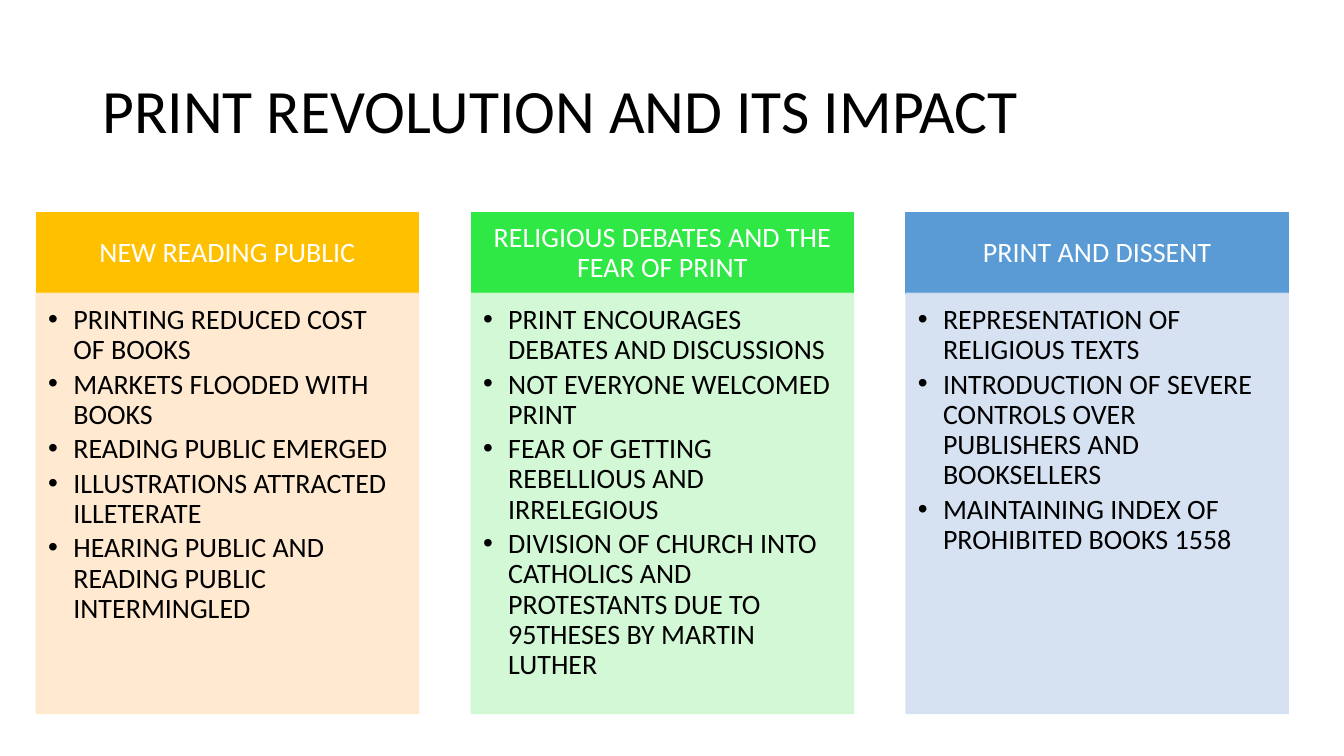
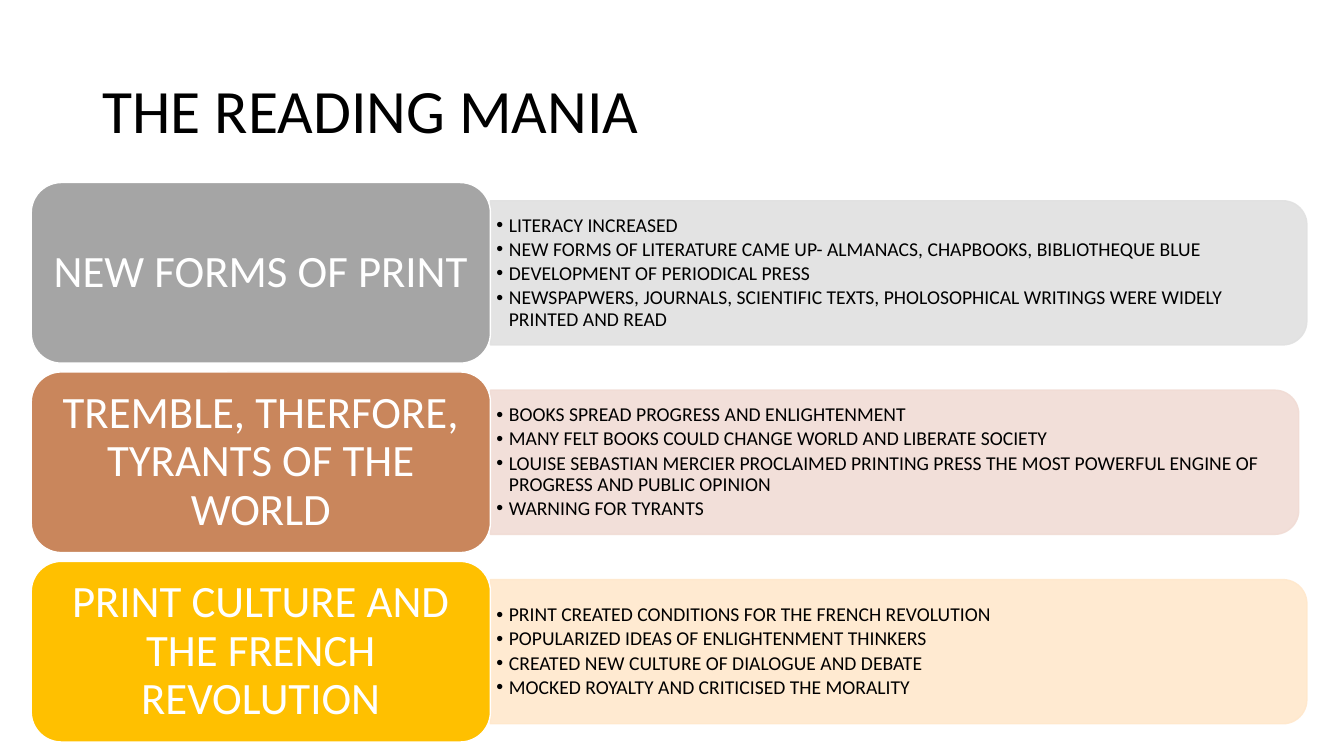
from lxml.etree import SubElement
from pptx import Presentation
from pptx.dml.color import RGBColor
from pptx.enum.shapes import MSO_SHAPE
from pptx.enum.text import MSO_ANCHOR, PP_ALIGN
from pptx.oxml.ns import qn
from pptx.util import Pt

RECT = MSO_SHAPE.RECTANGLE
ROUND = MSO_SHAPE.ROUNDED_RECTANGLE
TAB = MSO_SHAPE.ROUND_2_SAME_RECTANGLE
TOP, MID = MSO_ANCHOR.TOP, MSO_ANCHOR.MIDDLE
LEFT, MID_X = PP_ALIGN.LEFT, PP_ALIGN.CENTER

FONT = "Calibri"
BLACK = RGBColor(0x00, 0x00, 0x00)
WHITE = RGBColor(0xFF, 0xFF, 0xFF)
GOLD = RGBColor(0xFF, 0xC0, 0x00)
CREAM = RGBColor(0xFF, 0xE8, 0xCC)
GREEN = RGBColor(0x30, 0xE8, 0x45)
MINT = RGBColor(0xCF, 0xF8, 0xD1)
BLUE = RGBColor(0x5B, 0x9B, 0xD5)
SKY = RGBColor(0xD2, 0xDF, 0xF0)
GREY = RGBColor(0xA5, 0xA5, 0xA5)
SILVER = RGBColor(0xE1, 0xE1, 0xE1)
CLAY = RGBColor(0xC9, 0x86, 0x5C)
BLUSH = RGBColor(0xF1, 0xDC, 0xD5)

IMPACT = "PRINT REVOLUTION AND ITS IMPACT"
COLUMNS = [
    ("NEW READING PUBLIC", GOLD, CREAM, [
        "PRINTING REDUCED COST OF BOOKS",
        "MARKETS FLOODED WITH BOOKS",
        "READING PUBLIC EMERGED",
        "ILLUSTRATIONS ATTRACTED ILLETERATE",
        "HEARING PUBLIC AND READING PUBLIC INTERMINGLED"]),
    ("RELIGIOUS DEBATES AND THE FEAR OF PRINT", GREEN, MINT, [
        "PRINT ENCOURAGES DEBATES AND DISCUSSIONS",
        "NOT EVERYONE WELCOMED PRINT",
        "FEAR OF GETTING REBELLIOUS AND IRRELEGIOUS",
        "DIVISION OF CHURCH INTO CATHOLICS AND PROTESTANTS DUE TO "
        "95THESES BY MARTIN LUTHER"]),
    ("PRINT AND DISSENT", BLUE, SKY, [
        "REPRESENTATION OF RELIGIOUS TEXTS",
        "INTRODUCTION OF SEVERE CONTROLS OVER PUBLISHERS AND BOOKSELLERS",
        "MAINTAINING INDEX OF PROHIBITED BOOKS 1558"]),
]

MANIA = "THE READING MANIA"
# Each row: heading, colours, panel width, points
ROWS = [
    ("NEW FORMS OF PRINT", GREY, SILVER, 583.2, [
        "LITERACY INCREASED",
        "NEW FORMS OF LITERATURE CAME UP- ALMANACS, CHAPBOOKS, "
        "BIBLIOTHEQUE BLUE",
        "DEVELOPMENT OF PERIODICAL PRESS",
        "NEWSPAPWERS, JOURNALS, SCIENTIFIC TEXTS, PHOLOSOPHICAL WRITINGS "
        "WERE WIDELY PRINTED AND READ"]),
    ("TREMBLE, THERFORE, TYRANTS OF THE WORLD", CLAY, BLUSH, 577.4, [
        "BOOKS SPREAD PROGRESS AND ENLIGHTENMENT",
        "MANY FELT BOOKS COULD CHANGE WORLD AND LIBERATE SOCIETY",
        "LOUISE SEBASTIAN MERCIER PROCLAIMED PRINTING PRESS THE MOST "
        "POWERFUL ENGINE OF PROGRESS AND PUBLIC OPINION",
        "WARNING FOR TYRANTS"]),
    ("PRINT CULTURE AND THE FRENCH REVOLUTION", GOLD, CREAM, 583.2, [
        "PRINT CREATED CONDITIONS FOR THE FRENCH REVOLUTION",
        "POPULARIZED IDEAS OF ENLIGHTENMENT THINKERS",
        "CREATED NEW CULTURE OF DIALOGUE AND DEBATE",
        "MOCKED ROYALTY AND CRITICISED THE MORALITY"]),
]


def write(shape, lines, size, color, pad, anchor=MID, align=LEFT,
          after=0, indent=0):
    """Fill a shape with paragraphs, with bullets if an indent is given."""
    frame = shape.text_frame
    frame.word_wrap = True
    frame.vertical_anchor = anchor
    (frame.margin_left, frame.margin_top,
     frame.margin_right, frame.margin_bottom) = map(Pt, pad)
    for i, line in enumerate(lines):
        para = frame.add_paragraph() if i else frame.paragraphs[0]
        para.alignment = align
        para.line_spacing = 0.9
        para.space_after = Pt(size * after)
        if indent:
            props = para._p.get_or_add_pPr()
            props.set("marL", str(Pt(indent)))
            props.set("indent", str(-Pt(indent)))
            SubElement(props, qn("a:buFont")).set("typeface", "Arial")
            SubElement(props, qn("a:buChar")).set("char", "\u2022")
        run = para.add_run()
        run.text = line
        run.font.name = FONT
        run.font.size = Pt(size)
        run.font.color.rgb = color


def block(slide, kind, box, fill, line, alpha=100):
    """Add a flat shape, optionally see-through."""
    shape = slide.shapes.add_shape(kind, *map(Pt, box))
    shape.shadow.inherit = False
    shape.fill.solid()
    shape.fill.fore_color.rgb = fill
    shape.line.color.rgb = line
    shape.line.width = Pt(1)
    if alpha < 100:
        for tint in shape._element.spPr.iter(qn("a:srgbClr")):
            SubElement(tint, qn("a:alpha")).set("val", str(alpha * 1000))
    return shape


def start(deck, title):
    """Add a blank slide with its title."""
    slide = deck.slides.add_slide(deck.slide_layouts[6])
    box = slide.shapes.add_textbox(*map(Pt, (66.2, 28.8, 828, 104.4)))
    write(box, [title], 44, BLACK, (7.2, 3.6, 7.2, 3.6))
    return slide


def columns(slide):
    """Draw equal columns, each a heading over a bullet list."""
    left, top, wide, step = 26, 152, 273, 310.6
    head_h, body_h = 57.6, 300
    for i, (head, dark, pale, points) in enumerate(COLUMNS):
        x = left + i * step
        cap = block(slide, RECT, (x, top, wide, head_h), dark, dark)
        write(cap, [head], 20, WHITE, (11.2, 6.4, 11.2, 6.4),
              align=MID_X, after=0.35)
        body = block(slide, RECT, (x, top + head_h, wide, body_h),
                     pale, pale, 90)
        write(body, points, 20, BLACK, (8.4, 8.4, 11.2, 12.6),
              anchor=TOP, after=0.15, indent=18)


def rows(slide):
    """Draw rows, each a heading block joined to a bullet panel."""
    left, top, wide, high, step = 22.3, 130.4, 328, 129, 135.3
    panel_h, text_h = 103, 93
    x = left + wide
    for i, (head, dark, pale, span, points) in enumerate(ROWS):
        y = top + i * step
        mid = y + high / 2
        # Turned a quarter so that the round corners face right
        panel = block(slide, TAB, (x + (span - panel_h) / 2, mid - span / 2,
                                   panel_h, span), pale, pale, 90)
        panel.rotation = 90
        note = slide.shapes.add_textbox(
            *map(Pt, (x, mid - text_h / 2, span - 5, text_h)))
        write(note, points, 14, BLACK, (4.2, 2.1, 4.2, 2.1),
              after=0.15, indent=9)
        cap = block(slide, ROUND, (left, y, wide, high), dark, WHITE)
        write(cap, [head], 32, WHITE, (9.6, 4.8, 9.6, 4.8),
              align=MID_X, after=0.35)


deck = Presentation()
deck.slide_width, deck.slide_height = Pt(960), Pt(540)
columns(start(deck, IMPACT))
rows(start(deck, MANIA))
deck.save("out.pptx")
